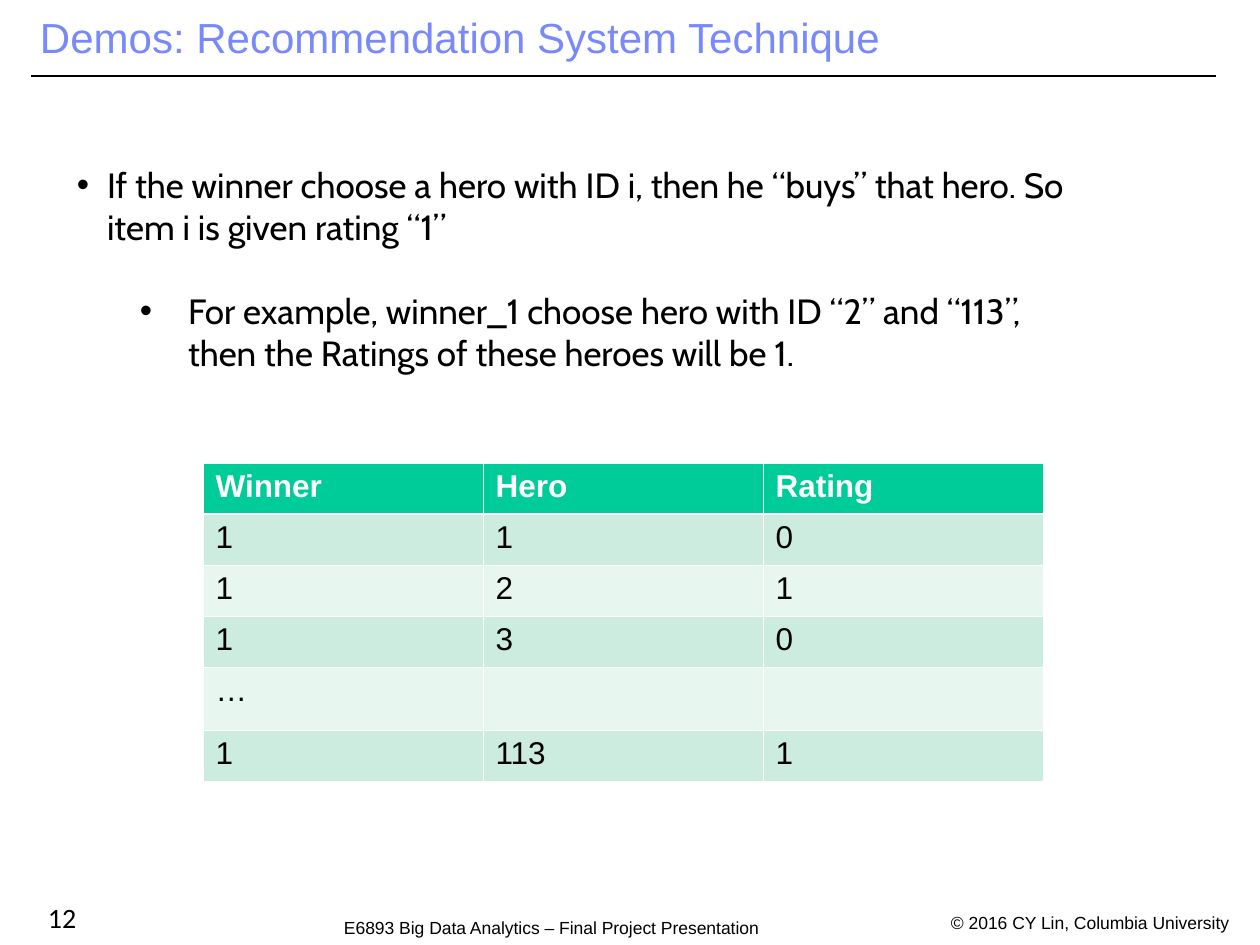
from lxml import etree
from pptx import Presentation
from pptx import util as u
from pptx.dml.color import RGBColor
from pptx.enum import shapes, text
from pptx.oxml.ns import qn

PX = u.Inches(1) // 126
BLACK, WHITE = "000000", "FFFFFF"


def px(length):
    return u.Emu(length * PX)


def color(value):
    return RGBColor.from_string(value)


class Deck:
    """Holds the style and the current slide."""

    title_color = "7889FB"
    header_fill = "00CC99"
    band_fills = ("CBECDE", "E7F6EF")
    body_font = "Cabin"
    plain_font = "Arial"

    def __init__(self, width, height):
        self.presentation = Presentation()
        self.presentation.slide_width = px(width)
        self.presentation.slide_height = px(height)
        self.slide = self.presentation.slides.add_slide(self.presentation.slide_layouts[5])

    def run(self, paragraph, words, size, font=None, fill=BLACK, bold=False):
        run = paragraph.add_run()
        run.text = words
        run.font.size = u.Pt(size)
        run.font.name = font or self.plain_font
        run.font.bold = bold
        run.font.color.rgb = color(fill)

    def frame(self, shape, side=6, top=6, wrap=True):
        frame = shape.text_frame
        frame.word_wrap = wrap
        frame.auto_size = text.MSO_AUTO_SIZE.NONE
        frame.vertical_anchor = text.MSO_ANCHOR.TOP
        frame.margin_left = frame.margin_right = px(side)
        frame.margin_top, frame.margin_bottom = px(top), px(6)
        return frame

    def title(self, words, left, top, width, height):
        shape = self.slide.shapes.title
        shape.left, shape.top, shape.width, shape.height = map(px, (left, top, width, height))
        paragraph = self.frame(shape).paragraphs[0]
        paragraph.alignment = text.PP_ALIGN.LEFT
        paragraph.line_spacing = 0.9
        self.run(paragraph, words, 24, fill=self.title_color)

    def rule(self, left, right, y):
        line = self.slide.shapes.add_connector(
            shapes.MSO_CONNECTOR.STRAIGHT, px(left), px(y), px(right), px(y))
        line.line.color.rgb = color(BLACK)
        line.line.width = u.Pt(0.75)
        etree.SubElement(line._element.spPr, qn("a:effectLst"))

    def label(self, words, left, top, width, height, size=10, font=None,
              align=text.PP_ALIGN.LEFT, wrap=True):
        box = self.slide.shapes.add_textbox(px(left), px(top), px(width), px(height))
        paragraph = self.frame(box, wrap=wrap).paragraphs[0]
        paragraph.alignment = align
        self.run(paragraph, words, size, font)

    def bullets(self, items, left, top, width, height, inset_top):
        """Each item is its level, text indent, hanging width and words."""
        box = self.slide.shapes.add_textbox(px(left), px(top), px(width), px(height))
        frame = self.frame(box, side=13, top=inset_top)
        for index, (level, indent, hanging, words) in enumerate(items):
            paragraph = frame.add_paragraph() if index else frame.paragraphs[0]
            paragraph.level = level
            properties = paragraph._p.get_or_add_pPr()
            properties.set("marL", str(px(indent)))
            properties.set("indent", str(-px(hanging)))
            etree.SubElement(properties, qn("a:buFont"), typeface=self.plain_font)
            etree.SubElement(properties, qn("a:buChar"), char="•")
            if index:
                paragraph.space_before = u.Pt(24)
            self.run(paragraph, words, 20, self.body_font)

    def border(self, cell, side, width):
        line = etree.SubElement(cell._tc.get_or_add_tcPr(), qn("a:" + side), w=str(u.Pt(width)))
        fill = etree.SubElement(line, qn("a:solidFill"))
        etree.SubElement(fill, qn("a:srgbClr"), val=WHITE)

    def table(self, rows, left, top, column_width, row_heights):
        columns = len(rows[0])
        table = self.slide.shapes.add_table(
            len(rows), columns, px(left), px(top),
            px(column_width * columns), px(sum(row_heights))).table
        table.horz_banding = False
        for column in table.columns:
            column.width = px(column_width)
        for r, (values, height) in enumerate(zip(rows, row_heights)):
            table.rows[r].height = px(height)
            header = r == 0
            for c, value in enumerate(values):
                cell = table.cell(r, c)
                for side in ("lnL", "lnR", "lnT", "lnB"):
                    thick = (r, side) in ((0, "lnB"), (1, "lnT"))
                    self.border(cell, side, 1.47 if thick else 0.45)
                cell.fill.solid()
                cell.fill.fore_color.rgb = color(
                    self.header_fill if header else self.band_fills[(r - 1) % 2])
                if value:
                    self.run(cell.text_frame.paragraphs[0], value, 18,
                             fill=WHITE if header else BLACK, bold=header)


def main():
    deck = Deck(1260, 945)

    # Heading
    deck.rule(31, 1216, 76)
    deck.title("Demos: Recommendation System Technique", 34, 11, 1179, 91)

    # Footer
    deck.label("© 2016 CY Lin, Columbia University", 872, 906, 363, 34,
               align=text.PP_ALIGN.RIGHT)
    deck.label("E6893 Big Data Analytics – Final Project Presentation", 338, 911, 428, 34,
               wrap=False)
    deck.label("12", 42, 895, 176, 47, size=16, font="Calibri")

    # Explanation
    deck.bullets([
        (0, 30, 30, "If the winner choose a hero with ID i, then he “buys” that hero. "
                    "So item i is given rating “1”"),
        (1, 111, 48, "For example, winner_1 choose hero with ID “2” and “113”, "
                     "then the Ratings of these heroes will be 1."),
    ], 64, 115, 1042, 727, inset_top=48)

    # Ratings
    deck.table([
        ("Winner", "Hero", "Rating"),
        ("1", "1", "0"),
        ("1", "2", "1"),
        ("1", "3", "0"),
        ("…", "", ""),
        ("1", "113", "1"),
    ], 203, 463, 280, (51, 51, 51, 51, 63, 51))

    deck.presentation.save("out.pptx")


if __name__ == "__main__":
    main()
